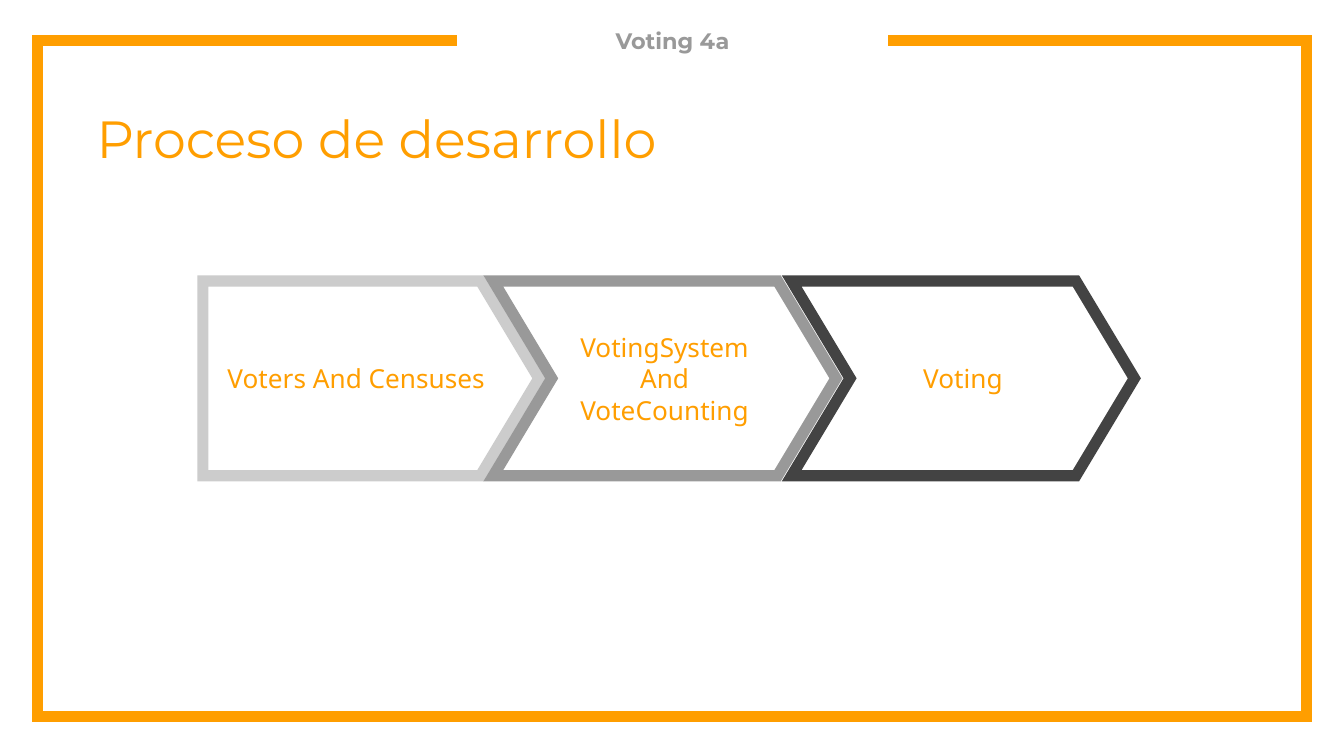
from dataclasses import dataclass

from lxml import etree
from pptx import Presentation
from pptx import util as u
from pptx.dml.color import RGBColor
from pptx.enum import shapes, text
from pptx.oxml import ns

ORANGE = "FF9E00"


@dataclass
class Step:
    label: str
    kind: shapes.MSO_SHAPE
    left: float
    width: float
    color: str


def paint(target, color: str) -> None:
    target.rgb = RGBColor.from_string(color)


def border(shape, color: str) -> None:
    shape.shadow.inherit = False
    shape.fill.background()
    paint(shape.line.color, color)
    shape.line.width = u.Pt(6)
    line = shape.line._get_or_add_ln()
    etree.SubElement(line, ns.qn("a:miter"), lim="800000")


def write(frame, words: str, font: str, size: int, color: str,
          align=text.PP_ALIGN.CENTER, bold: bool = False) -> None:
    frame.margin_left = frame.margin_right = u.Inches(0.1)
    frame.margin_top = frame.margin_bottom = u.Inches(0.1)
    frame.text = words
    para = frame.paragraphs[0]
    para.alignment = align
    para.font.name = font
    para.font.size = u.Pt(size)
    para.font.bold = bold
    paint(para.font.color, color)


def place(shape, left: float, top: float, width: float, height: float) -> None:
    shape.left, shape.top = u.Inches(left), u.Inches(top)
    shape.width, shape.height = u.Inches(width), u.Inches(height)


def draw_frame(slide) -> None:
    left, top, right, base = 0.28, 0.3, 9.72, 5.33
    pen = slide.shapes.build_freeform(u.Inches(3.4), u.Inches(top))
    points = [(left, top), (left, base), (right, base), (right, top), (6.61, top)]
    pen.add_line_segments([(u.Inches(x), u.Inches(y)) for x, y in points], close=False)
    border(pen.convert_to_shape(), ORANGE)


def draw_step(slide, step: Step) -> None:
    shape = slide.shapes.add_shape(
        step.kind, u.Inches(step.left), u.Inches(2.09), u.Inches(step.width), u.Inches(1.45))
    shape.adjustments[0] = 0.3
    border(shape, step.color)
    shape.text_frame.word_wrap = True
    shape.text_frame.vertical_anchor = text.MSO_ANCHOR.MIDDLE
    write(shape.text_frame, step.label, "Noto Sans", 14, ORANGE)


def main() -> None:
    deck = Presentation()
    deck.slide_width = u.Inches(10)
    deck.slide_height = deck.slide_width * 9 // 16
    slide = deck.slides.add_slide(deck.slide_layouts[5])
    draw_frame(slide)

    title = slide.shapes.title
    place(title, 3.55, 0.1, 2.91, 0.8)
    title.text_frame.vertical_anchor = text.MSO_ANCHOR.TOP
    write(title.text_frame, "Voting 4a", "Montserrat", 12, "999999", bold=True)

    pentagon, chevron = shapes.MSO_SHAPE.PENTAGON, shapes.MSO_SHAPE.CHEVRON
    steps = [
        Step("Voters And Censuses", pentagon, 1.51, 2.5, "CCCCCC"),
        Step("VotingSystem And VoteCounting", chevron, 3.67, 2.55, "999999"),
        Step("Voting", chevron, 5.89, 2.55, "434343"),
    ]
    for step in steps:
        draw_step(slide, step)

    head = slide.shapes.add_textbox(
        u.Inches(0.62), u.Inches(0.74), u.Inches(4.5), u.Inches(0.57))
    write(head.text_frame, "Proceso de desarrollo", "Montserrat", 28, ORANGE,
          text.PP_ALIGN.LEFT)
    head.text_frame.margin_top = head.text_frame.margin_bottom = u.Inches(0.05)
    head.text_frame.word_wrap = False

    deck.save("out.pptx")


if __name__ == "__main__":
    main()
